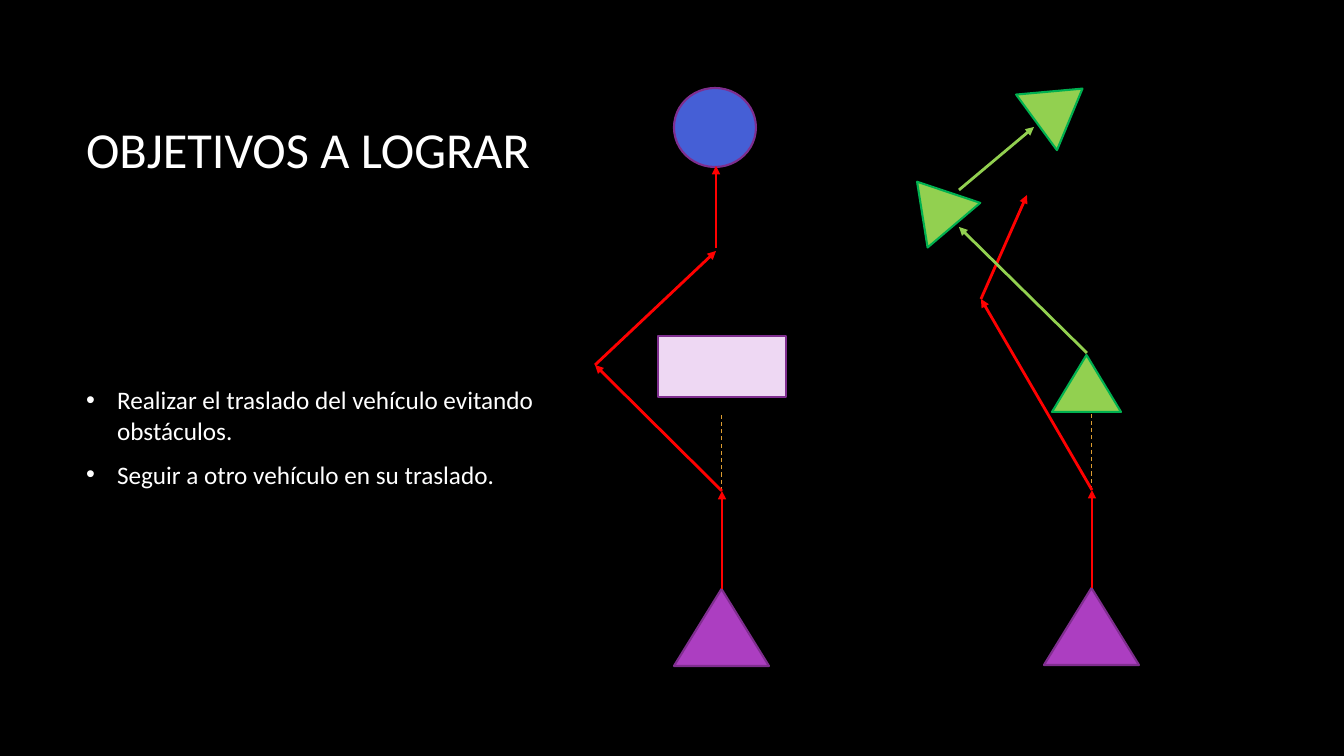
from itertools import pairwise

from lxml.etree import SubElement
from pptx import Presentation
from pptx.dml.color import RGBColor
from pptx.enum.dml import MSO_LINE_DASH_STYLE as Dash
from pptx.enum.shapes import MSO_CONNECTOR as Link, MSO_SHAPE as Kind
from pptx.enum.text import MSO_ANCHOR as Anchor, MSO_AUTO_SIZE as Fit, PP_ALIGN as Align
from pptx.oxml.ns import qn
from pptx.util import Pt

WIDE, HIGH = 1344, 756
SCALE = 12192000 / WIDE
FONT = "Calibri"
HUES = {
    "back": "000000", "text": "FFFFFF", "route": "FF0000", "guide": "DD9D31",
    "car": "AC3EC1", "edge": "7F2E8F", "goal": "455FD6", "block": "EED8F3",
    "lead": "92D050", "rim": "00B050",
}


def px(n):
    return round(n * SCALE)


def hue(name):
    return RGBColor.from_string(HUES[name])


# Basic parts
def form(slide, kind, box, fill, edge, turn=0):
    part = slide.shapes.add_shape(kind, *map(px, box))
    part.shadow.inherit = False
    part.fill.solid()
    part.fill.fore_color.rgb = hue(fill)
    part.line.color.rgb = hue(edge)
    part.line.width = Pt(1.5)
    part.rotation = turn


def line(slide, start, end, color, width):
    part = slide.shapes.add_connector(Link.STRAIGHT, *map(px, start + end))
    part.line.color.rgb = hue(color)
    part.line.width = Pt(width)
    SubElement(part._element.spPr, qn("a:effectLst"))
    return part.line


def trail(slide, x, y, stops, color):
    points = [(x + a, y + b) for a, b in stops]
    for start, end in pairwise(points):
        stroke = line(slide, start, end, color, 2)
        SubElement(stroke._get_or_add_ln(), qn("a:tailEnd"), type="triangle")


# Placeholder text
def words(holder, box, lines, size):
    holder.left, holder.top, holder.width, holder.height = map(px, box)
    frame = holder.text_frame
    frame.text = "\n".join(lines)
    frame.word_wrap = True
    frame.auto_size = Fit.NONE
    frame.vertical_anchor = Anchor.MIDDLE
    for para in frame.paragraphs:
        para.alignment = Align.LEFT
        para.space_before = Pt(0)
        for run in para.runs:
            run.font.name = FONT
            run.font.size = Pt(size)
            run.font.color.rgb = hue("text")
    return frame.paragraphs


def goals(slide, box):
    x, y, w, h = box
    words(slide.shapes.title, (x, y, 1117, 160), ["OBJETIVOS A LOGRAR"], 36)
    items = words(slide.placeholders[1], (x, y + 168, w, h - 168), [
        "Realizar el traslado del vehículo evitando obstáculos.",
        "Seguir a otro vehículo en su traslado.",
    ], 18)
    for item in items:
        item.space_after = Pt(10)
        props = item._p.get_or_add_pPr()
        props.set("marL", str(px(31)))
        props.set("indent", str(px(-31)))
        SubElement(props, qn("a:buFont"), typeface="Arial")
        SubElement(props, qn("a:buChar"), char="•")


# Vehicle with its first step and the straight way it gives up
def car(slide, x, y):
    form(slide, Kind.ISOSCELES_TRIANGLE, (x - 48, y, 95, 77), "car", "edge")
    trail(slide, x, y, [(0, 0), (0, -98)], "route")
    guide = line(slide, (x, y - 98), (x, y - 176), "guide", 0.75)
    guide.dash_style = Dash.DASH


# Route around an obstacle
def avoid(slide, x, y):
    form(slide, Kind.OVAL, (x + 84, y + 8, 82, 79), "goal", "edge")
    form(slide, Kind.RECTANGLE, (x + 68, y + 256, 128, 61), "block", "edge")
    car(slide, x + 132, y + 509)
    trail(slide, x, y, [(132, 411), (5, 285), (126, 171)], "route")
    trail(slide, x, y, [(126, 168), (126, 86)], "route")


# Route behind another vehicle
def follow(slide, x, y):
    car(slide, x + 192, y + 518)
    trail(slide, x, y, [(192, 420), (81, 229), (127, 125)], "route")
    trail(slide, x, y, [(187, 283), (59, 157)], "lead")
    trail(slide, x, y, [(59, 120), (134, 57)], "lead")
    for a, b, turn in [(152, 285, 0), (1, 105, 319.7), (125, 7, 53.7)]:
        form(slide, Kind.ISOSCELES_TRIANGLE, (x + a, y + b, 69, 57),
             "lead", "rim", turn)


def main():
    deck = Presentation()
    deck.slide_width, deck.slide_height = px(WIDE), px(HIGH)
    slide = deck.slides.add_slide(deck.slide_layouts[1])
    slide.background.fill.solid()
    slide.background.fill.fore_color.rgb = hue("back")
    goals(slide, (76, 68, 486, 570))
    avoid(slide, 590, 80)
    follow(slide, 900, 70)
    deck.save("out.pptx")


if __name__ == "__main__":
    main()
